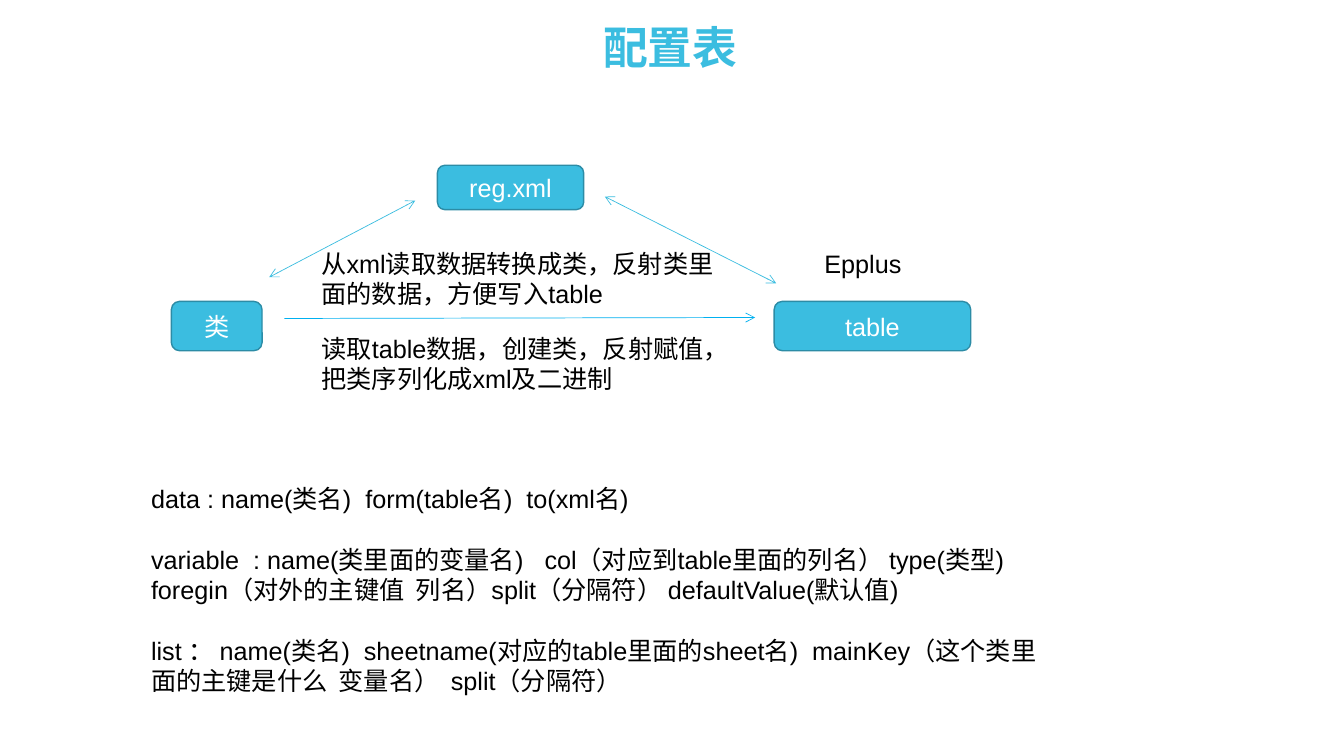
from dataclasses import dataclass

from lxml import etree
from pptx import Presentation
from pptx import util as u
from pptx.dml import color
from pptx.enum import shapes, text
from pptx.oxml import ns


@dataclass(frozen=True)
class Theme:
    accent: str = "3BBDE0"
    border: str = "2C8CA6"
    arrow: str = "00B0F0"
    ink: str = "000000"
    paper: str = "FFFFFF"
    title_font: str = "Roboto"
    body_font: str = "Arial"
    title_size: float = 32
    body_size: float = 18
    paragraph_gap: float = 21.7
    border_width: float = 1
    arrow_width: float = 0.5


@dataclass(frozen=True)
class Area:
    left: float
    top: float
    width: float
    height: float


@dataclass(frozen=True)
class Node:
    label: str
    area: Area


@dataclass(frozen=True)
class Arrow:
    start: tuple[float, float]
    end: tuple[float, float]
    colour: str
    both_ends: bool = True


@dataclass(frozen=True)
class Note:
    lines: tuple[str, ...]
    area: Area


THEME = Theme()
WIDTH, HEIGHT = u.Inches(13.33), u.Inches(7.5)
NODE_TOP, NODE_HEIGHT = 39.87, 6.53
NOTE_LEFT, NOTE_TOP, NOTE_WIDTH, NOTE_HEIGHT = 23.18, 32.13, 31, 9.47

TITLE = Note(("配置表",), Area(6.75, 3.6, 86.25, 6))
NODES = (
    Node("类", Area(12.75, NODE_TOP, 6.75, NODE_HEIGHT)),
    Node("table", Area(57.6, NODE_TOP, 14.63, NODE_HEIGHT)),
    Node("reg.xml", Area(32.55, 21.87, 10.88, 5.87)),
)
ARROWS = (
    Arrow((21.15, 42.13), (56.18, 42), THEME.arrow, both_ends=False),
    Arrow((20.03, 36.67), (30.9, 26.53), THEME.accent),
    Arrow((45, 26), (57.75, 37.47), THEME.accent),
)
NOTES = (
    Note(
        (
            "data : name(类名)  form(table名)  to(xml名)",
            "variable  : name(类里面的变量名)   col（对应到table里面的列名） type(类型)"
            "    foregin（对外的主键值  列名）split（分隔符） defaultValue(默认值)",
            "list ： name(类名)  sheetname(对应的table里面的sheet名)  "
            "mainKey（这个类里面的主键是什么  变量名）  split（分隔符）",
        ),
        Area(10.5, 63.33, 67.73, 29.6),
    ),
    Note(("Epplus",), Area(60.6, NOTE_TOP, 11.03, 5.33)),
    Note(
        ("从xml读取数据转换成类，反射类里面的数据，方便写入table",),
        Area(NOTE_LEFT, NOTE_TOP, NOTE_WIDTH, NOTE_HEIGHT),
    ),
    Note(
        ("读取table数据，创建类，反射赋值，把类序列化成xml及二进制",),
        Area(NOTE_LEFT, 43.47, NOTE_WIDTH, NOTE_HEIGHT),
    ),
)


def across(share: float) -> int:
    return round(WIDTH * share / 100)


def down(share: float) -> int:
    return round(HEIGHT * share / 100)


def place(area: Area) -> tuple[int, int, int, int]:
    return across(area.left), down(area.top), across(area.width), down(area.height)


def rgb(value: str) -> color.RGBColor:
    return color.RGBColor.from_string(value)


def write(para, words: str, colour: str, size: float = THEME.body_size,
          font: str = THEME.body_font, bold: bool = False) -> None:
    span = para.add_run()
    span.text = words
    span.font.name = font
    span.font.size = u.Pt(size)
    span.font.bold = bold
    span.font.color.rgb = rgb(colour)


def draw_title(page, title: Note) -> None:
    frame = page.shapes.add_textbox(*place(title.area)).text_frame
    frame.word_wrap = True
    frame.vertical_anchor = text.MSO_ANCHOR.MIDDLE
    para = frame.paragraphs[0]
    para.alignment = text.PP_ALIGN.CENTER
    para.line_spacing = 0.9
    write(para, title.lines[0], THEME.accent, THEME.title_size, THEME.title_font, True)


def draw_node(page, node: Node) -> None:
    box = page.shapes.add_shape(shapes.MSO_SHAPE.ROUNDED_RECTANGLE, *place(node.area))
    box.shadow.inherit = False
    box.fill.solid()
    box.fill.fore_color.rgb = rgb(THEME.accent)
    box.line.color.rgb = rgb(THEME.border)
    box.line.width = u.Pt(THEME.border_width)
    box.text_frame.vertical_anchor = text.MSO_ANCHOR.MIDDLE
    para = box.text_frame.paragraphs[0]
    para.alignment = text.PP_ALIGN.CENTER
    write(para, node.label, THEME.paper)


def draw_arrow(page, arrow: Arrow) -> None:
    (left, top), (right, bottom) = arrow.start, arrow.end
    connector = page.shapes.add_connector(
        shapes.MSO_CONNECTOR.STRAIGHT,
        across(left), down(top), across(right), down(bottom),
    )
    connector.line.color.rgb = rgb(arrow.colour)
    connector.line.width = u.Pt(THEME.arrow_width)
    properties = connector._element.spPr
    outline = properties.find(ns.qn("a:ln"))
    ends = ("a:headEnd", "a:tailEnd") if arrow.both_ends else ("a:tailEnd",)
    for end in ends:
        etree.SubElement(outline, ns.qn(end), type="arrow")
    etree.SubElement(properties, ns.qn("a:effectLst"))


def draw_note(page, note: Note) -> None:
    frame = page.shapes.add_textbox(*place(note.area)).text_frame
    frame.word_wrap = True
    for index, line in enumerate(note.lines):
        para = frame.add_paragraph() if index else frame.paragraphs[0]
        if index:
            para.space_before = u.Pt(THEME.paragraph_gap)
        write(para, line, THEME.ink)


def main() -> None:
    deck = Presentation()
    deck.slide_width, deck.slide_height = WIDTH, HEIGHT
    page = deck.slides.add_slide(deck.slide_layouts[6])
    page.background.fill.solid()
    page.background.fill.fore_color.rgb = rgb(THEME.paper)
    draw_title(page, TITLE)
    for node in NODES:
        draw_node(page, node)
    for arrow in ARROWS:
        draw_arrow(page, arrow)
    for note in NOTES:
        draw_note(page, note)
    deck.save("out.pptx")


if __name__ == "__main__":
    main()
